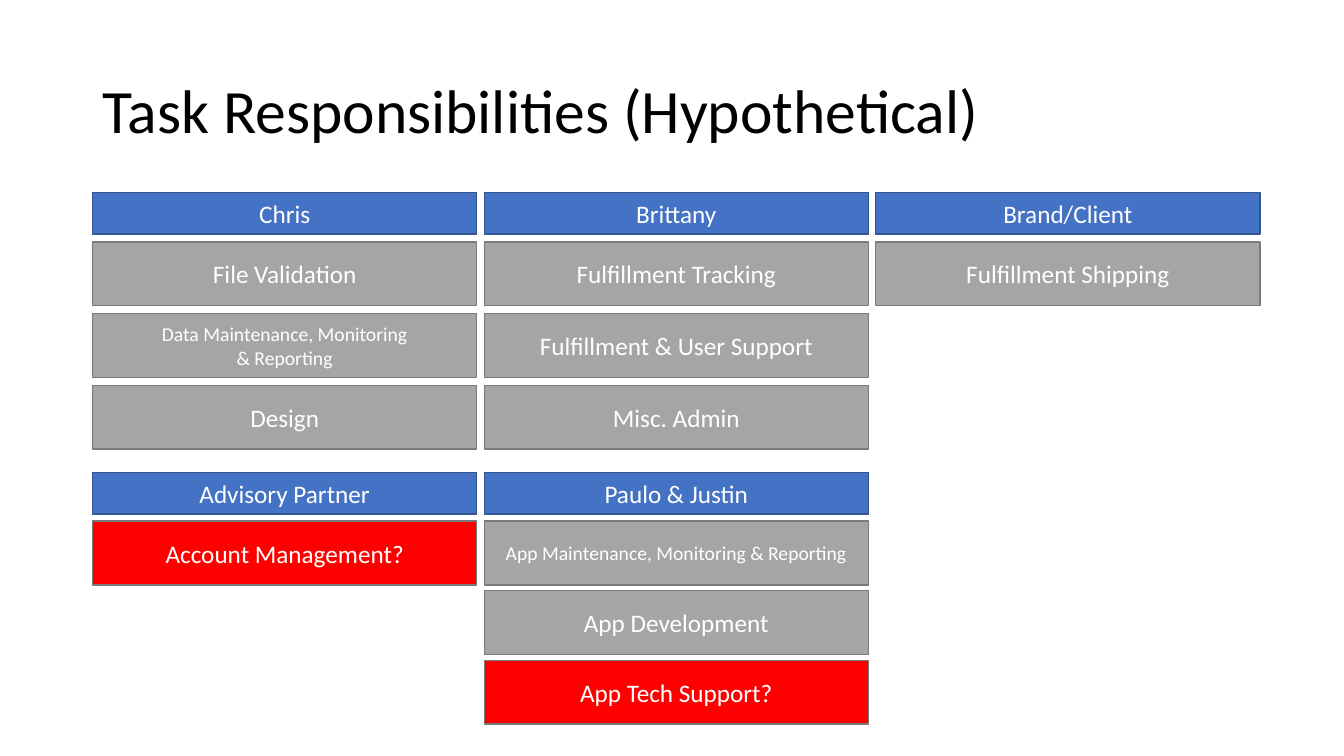
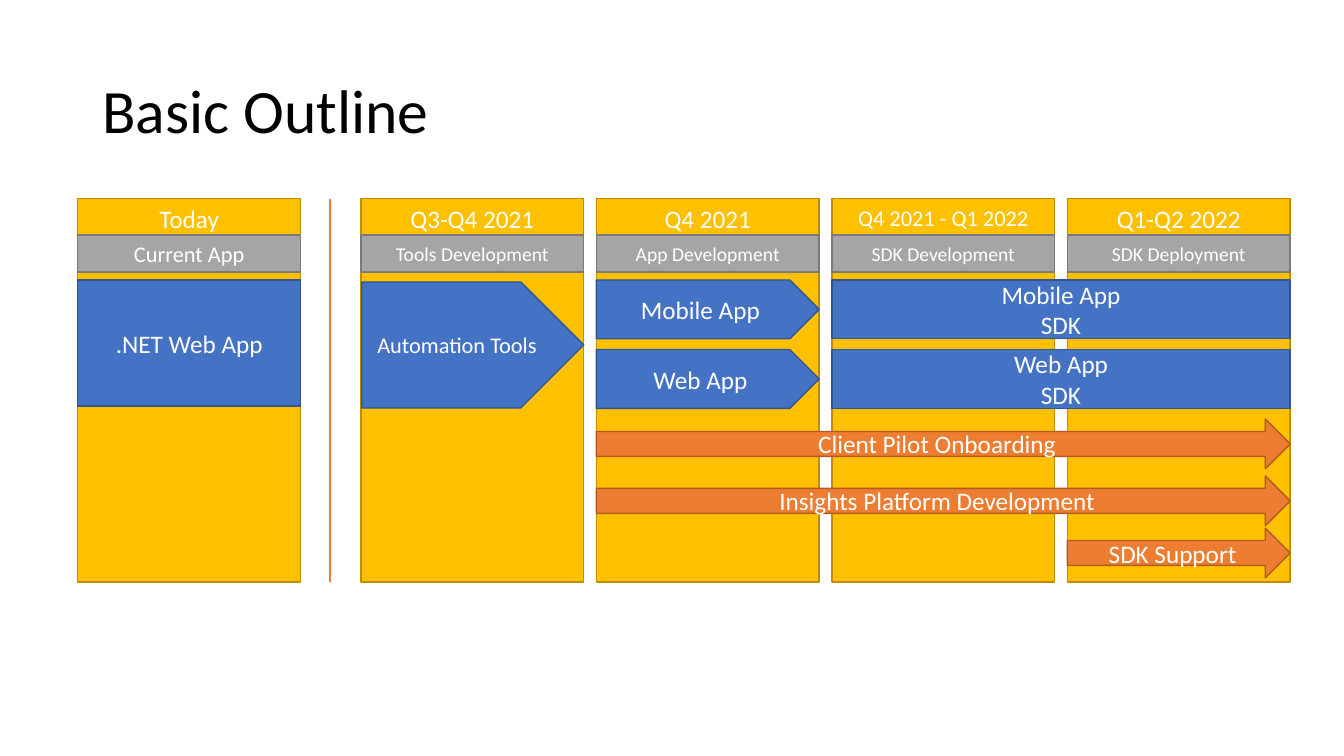
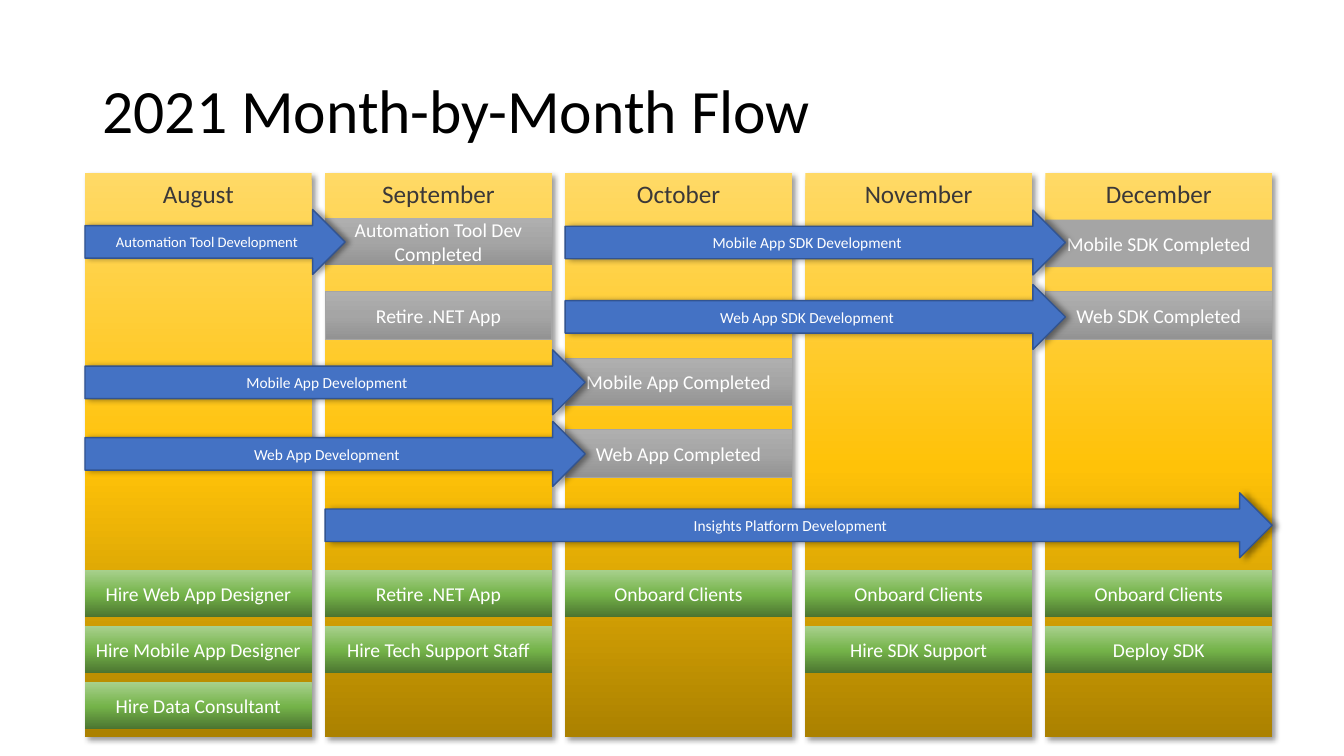
from copy import deepcopy

from lxml.etree import SubElement
from pptx import Presentation
from pptx.dml.color import RGBColor
from pptx.enum.shapes import MSO_CONNECTOR, MSO_SHAPE
from pptx.enum.text import MSO_ANCHOR, PP_ALIGN
from pptx.oxml.ns import qn
from pptx.util import Pt

WHITE = RGBColor(0xFF, 0xFF, 0xFF)
BLACK = RGBColor(0x00, 0x00, 0x00)
INK = RGBColor(0x3B, 0x38, 0x38)
BLUE = RGBColor(0x44, 0x72, 0xC4)
NAVY = RGBColor(0x32, 0x54, 0x91)
GREY = RGBColor(0xA5, 0xA5, 0xA5)
SLATE = RGBColor(0x7A, 0x7A, 0x7A)
RED = RGBColor(0xFF, 0x00, 0x00)
GOLD = RGBColor(0xFF, 0xC0, 0x00)
OCHRE = RGBColor(0xBD, 0x8E, 0x00)
ORANGE = RGBColor(0xED, 0x7D, 0x31)
RUST = RGBColor(0xAF, 0x5C, 0x24)

AMBER = ((0, RGBColor(0xFF, 0xD9, 0x66)), (0.52, RGBColor(0xFF, 0xC2, 0x08)),
         (1, RGBColor(0xAB, 0x81, 0x00)))
GREEN = ((0, RGBColor(0xA9, 0xD1, 0x8E)), (0.52, RGBColor(0x74, 0xB3, 0x49)),
         (1, RGBColor(0x4B, 0x74, 0x30)))
STEEL = ((0, RGBColor(0xAF, 0xAF, 0xAF)), (0.5, GREY),
         (1, RGBColor(0x93, 0x93, 0x93)))

RECT = MSO_SHAPE.RECTANGLE
PLATE = MSO_SHAPE.PENTAGON
ARROW = MSO_SHAPE.RIGHT_ARROW


def write(frame, text, size=18, color=WHITE, font="Calibri",
          align=PP_ALIGN.CENTER, anchor=MSO_ANCHOR.MIDDLE, space=1.0):
    frame.word_wrap = True
    frame.vertical_anchor = anchor
    frame.text = text
    for para in frame.paragraphs:
        para.alignment = align
        para.line_spacing = space
        para.font.name = font
        para.font.size = Pt(size)
        para.font.color.rgb = color


class Deck:
    edges = {BLUE: NAVY, GREY: SLATE, RED: SLATE, GOLD: OCHRE, ORANGE: RUST}

    def __init__(self):
        self.file = Presentation()
        self.file.slide_width, self.file.slide_height = Pt(960), Pt(540)
        self.slide = None

    def page(self, title):
        self.slide = self.file.slides.add_slide(self.file.slide_layouts[5])
        head = self.slide.shapes.title
        head.left, head.top, head.width, head.height = Pt(66), Pt(28.8), Pt(828), Pt(104.4)
        write(head.text_frame, title, size=44, color=BLACK,
              align=PP_ALIGN.LEFT, space=0.9)

    def shape(self, kind, box, text, fill, edge=None, width=1, shade=None, **style):
        item = self.slide.shapes.add_shape(kind, *map(Pt, box))
        self.paint(item, fill)
        edge = edge or (None if isinstance(fill, tuple) and fill in (AMBER, GREEN, STEEL)
                        else self.edges[fill])
        if edge is None or width == 0:
            item.line.fill.background()
        else:
            item.line.color.rgb = edge
            item.line.width = Pt(width)
        item.shadow.inherit = False
        if shade is not None:
            self.shadow(item, shade)
        write(item.text_frame, text, **style)

    def paint(self, item, fill):
        if fill not in (AMBER, GREEN, STEEL):
            item.fill.solid()
            item.fill.fore_color.rgb = fill
            return
        item.fill.gradient()
        item.fill.gradient_angle = 270
        stops = next(item._element.spPr.iter(qn("a:gsLst")))
        stops.append(deepcopy(stops[0]))
        for stop, (place, color) in zip(item.fill.gradient_stops, fill):
            stop.position = place
            stop.color.rgb = color

    def shadow(self, item, angle):
        effect = item._element.spPr.find(qn("a:effectLst"))
        outer = SubElement(effect, qn("a:outerShdw"), blurRad=str(Pt(4)),
                           dist=str(Pt(3)), dir=str(angle * 60000),
                           algn="tl", rotWithShape="0")
        color = SubElement(outer, qn("a:srgbClr"), val="000000")
        SubElement(color, qn("a:alpha"), val="40000")

    def line(self, ends, color, width):
        rule = self.slide.shapes.add_connector(MSO_CONNECTOR.STRAIGHT, *map(Pt, ends))
        rule.line.color.rgb = color
        rule.line.width = Pt(width)
        SubElement(rule._element.spPr, qn("a:effectLst"))


def tasks(deck):
    deck.page("Task Responsibilities (Hypothetical)")
    left, pitch, wide = 66.2, 279.7, 274.4
    small = {"Data Maintenance, Monitoring\n& Reporting",
             "App Maintenance, Monitoring & Reporting"}
    bands = (
        (137.6, 172.8, 51.2, (
            ("Chris", "File Validation",
             "Data Maintenance, Monitoring\n& Reporting", "Design"),
            ("Brittany", "Fulfillment Tracking", "Fulfillment & User Support",
             "Misc. Admin"),
            ("Brand/Client", "Fulfillment Shipping"))),
        (337.7, 372.2, 49.7, (
            ("Advisory Partner", "Account Management?"),
            ("Paulo & Justin", "App Maintenance, Monitoring & Reporting",
             "App Development", "App Tech Support?"))))
    for top, first, step, teams in bands:
        for col, (name, *jobs) in enumerate(teams):
            x = left + col * pitch
            deck.shape(RECT, (x, top, wide, 29.6), name, BLUE)
            for row, job in enumerate(jobs):
                deck.shape(RECT, (x, first + row * step, wide, 45.6), job,
                           RED if job.endswith("?") else GREY,
                           size=14 if job in small else 18)


def outline(deck):
    deck.page("Basic Outline")
    top, wide, pitch = 141.9, 159.2, 168.2
    xs = [55.6] + [257.8 + i * pitch for i in range(4)]
    phases = (("Today", 18, "Current App", 16),
              ("Q3-Q4 2021", 18, "Tools Development", 14),
              ("Q4 2021", 18, "App Development", 14),
              ("Q4 2021 - Q1 2022", 16, "SDK Development", 14),
              ("Q1-Q2 2022", 18, "SDK Deployment", 14))
    for x, (date, size, stage, small) in zip(xs, phases):
        deck.shape(RECT, (x, top, wide, 273.8), date, GOLD, size=size,
                   anchor=MSO_ANCHOR.TOP)
        deck.shape(RECT, (x, 167.8, wide, 26.6), stage, GREY, size=small)
    deck.shape(RECT, (xs[0], 200, wide, 90), ".NET Web App", BLUE)
    deck.shape(PLATE, (xs[1] + 0.6, 201.4, 158.6, 90), "Automation Tools", BLUE, size=16)
    for y, name in ((200, "Mobile App"), (249.7, "Web App")):
        deck.shape(PLATE, (xs[2], y, wide, 42), name, BLUE)
        deck.shape(RECT, (xs[3], y, pitch + wide, 42), name + "\nSDK", BLUE)
    for col, y, name in ((2, 299.3, "Client Pilot Onboarding"),
                         (2, 340, "Insights Platform Development"),
                         (4, 377.2, "SDK Support")):
        deck.shape(ARROW, (xs[col], y, xs[4] + wide - xs[col], 35.6), name, ORANGE)
    deck.line((235.6, top, 235.6, 415.9), ORANGE, 1.5)


def flow(deck):
    deck.page("2021 Month-by-Month Flow")
    left, pitch, wide = 60.7, 171.5, 162
    right = left + 4 * pitch + wide
    months = (
        ("August", "Hire Web App Designer", "Hire Mobile App Designer",
         "Hire Data Consultant"),
        ("September", "Retire .NET App", "Hire Tech Support Staff"),
        ("October", "Onboard Clients"),
        ("November", "Onboard Clients", "Hire SDK Support"),
        ("December", "Onboard Clients", "Deploy SDK"))
    for col, (month, *steps) in enumerate(months):
        x = left + col * pitch
        deck.shape(RECT, (x, 123.8, wide, 402.5), month, AMBER, shade=45,
                   color=INK, anchor=MSO_ANCHOR.TOP)
        for row, step in enumerate(steps):
            deck.shape(RECT, (x, 406.9 + row * 40, wide, 34), step, GREEN, size=14)
    goals = ((1, 155.6, "Automation Tool Dev Completed", STEEL, 0),
             (1, 208.2, "Retire .NET App", STEEL, 0.5),
             (2, 255.8, "Mobile App Completed", STEEL, 0.5),
             (2, 306.8, "Web App Completed", STEEL, 0.5),
             (4, 156.8, "Mobile SDK Completed", GREY, 0),
             (4, 208.2, "Web SDK Completed", STEEL, 0.5))
    for col, y, name, fill, width in goals:
        deck.shape(RECT, (left + col * pitch, y, wide, 34), name, fill,
                   edge=GREY, width=width, size=14)
    works = ((0, 1, 149.6, "Automation Tool Development", 10.5),
             (0, 2, 249.9, "Mobile App Development", 11),
             (0, 2, 301, "Web App Development", 11),
             (2, 2, 150, "Mobile App SDK Development", 11),
             (2, 2, 203.2, "Web App SDK Development", 11),
             (1, 4, 352, "Insights Platform Development", 11))
    for col, span, y, name, size in works:
        x = left + col * pitch
        deck.shape(ARROW, (x, y, min(span * pitch + 14.3, right - x), 46.4), name,
                   BLUE, shade=0, size=size)


def main():
    deck = Deck()
    tasks(deck)
    outline(deck)
    flow(deck)
    deck.file.save("out.pptx")


if __name__ == "__main__":
    main()
